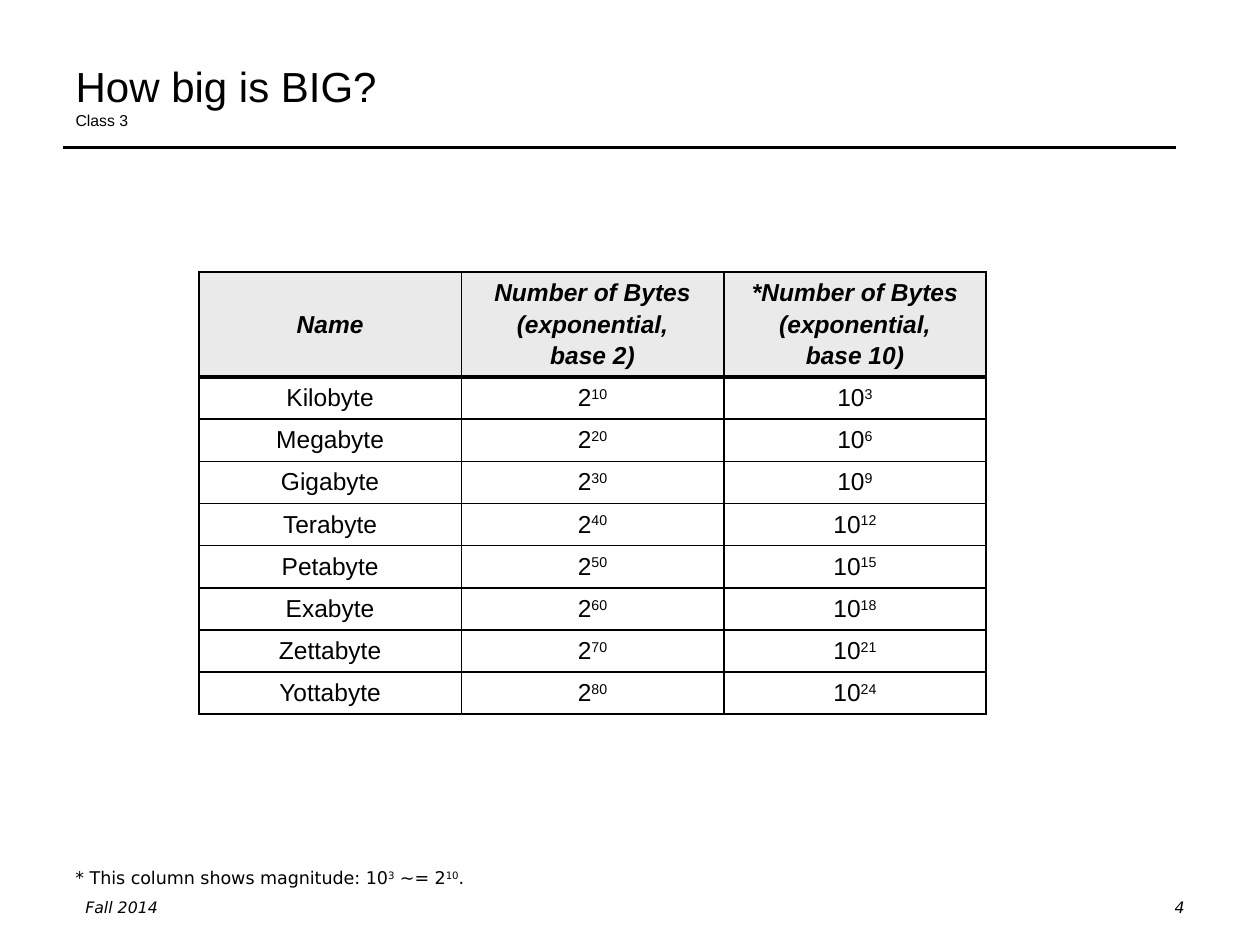
import pptx
import pptx.dml.color
import pptx.enum.shapes
import pptx.enum.text
import pptx.oxml
import pptx.oxml.ns
import pptx.util
from pptx.util import Cm

Align = pptx.enum.text.PP_ALIGN
Anchor = pptx.enum.text.MSO_ANCHOR

# Text between carets is superscript.
TITLE = "How big is BIG? "
SUBTITLE = "Class 3"
HEADERS = [
    ["Name"],
    ["Number of Bytes", "(exponential,", "base 2)"],
    ["*Number of Bytes", "(exponential,", "base 10)"],
]
UNITS = ["Kilobyte", "Megabyte", "Gigabyte", "Terabyte",
         "Petabyte", "Exabyte", "Zettabyte", "Yottabyte"]
FOOTNOTE = "* This column shows magnitude: 10^3^ ~= 2^10^."
TERM = "Fall 2014"
PAGE_NUMBER = "4"

COLORS = {"ink": "000000", "header": "EAEAEA"}
HEADING_FONT = "Arial"
NOTE_FONT = "DejaVu Sans"

COLUMN_WIDTH = Cm(5.29)
HEADER_HEIGHT = Cm(2.11)
ROW_HEIGHT = Cm(0.85)
THIN, OUTER, HEADER_RULE = 1, 1.5, 2.25


def rgb(name):
    return pptx.dml.color.RGBColor.from_string(COLORS[name])


def write(paragraph, text, size=14, font=HEADING_FONT, bold=False, italic=False,
          align=Align.LEFT):
    """Add text to a paragraph, raising the parts between carets."""
    paragraph.alignment = align
    for index, part in enumerate(text.split("^")):
        if not part:
            continue
        run = paragraph.add_run()
        run.text = part
        run.font.size = pptx.util.Pt(size)
        run.font.name = font
        run.font.bold = bold
        run.font.italic = italic
        run.font.color.rgb = rgb("ink")
        if index % 2:
            run._r.get_or_add_rPr().set("baseline", "30000")


def add_note(slide, text, left, top, width, height, **text_format):
    frame = slide.shapes.add_textbox(left, top, width, height).text_frame
    frame.word_wrap = True
    write(frame.paragraphs[0], text, font=NOTE_FONT, **text_format)


def set_borders(cell, **widths):
    """Draw cell borders; the keywords L, R, T and B give widths in points."""
    properties = cell._tc.get_or_add_tcPr()
    for side, width in widths.items():
        properties.append(pptx.oxml.parse_xml(
            f'<a:ln{side} {pptx.oxml.ns.nsdecls("a")} w="{pptx.util.Pt(width)}">'
            f'<a:solidFill><a:srgbClr val="{COLORS["ink"]}"/></a:solidFill>'
            f'</a:ln{side}>'))


def add_title(slide):
    title = slide.shapes.title
    title.left, title.top, title.width, title.height = Cm(1.27), Cm(0.76), Cm(22.86), Cm(1.98)
    frame = title.text_frame
    frame.auto_size = pptx.enum.text.MSO_AUTO_SIZE.NONE
    frame.vertical_anchor = Anchor.BOTTOM
    paragraph = frame.paragraphs[0]
    write(paragraph, TITLE, size=24)
    paragraph.add_line_break()
    write(paragraph, SUBTITLE, size=9)


def add_title_rule(slide):
    rule = slide.shapes.add_connector(
        pptx.enum.shapes.MSO_CONNECTOR.STRAIGHT, Cm(1.27), Cm(2.97), Cm(23.7), Cm(2.97))
    rule.line.color.rgb = rgb("ink")
    rule.line.width = pptx.util.Pt(1.5)
    rule._element.spPr.append(
        pptx.oxml.parse_xml(f'<a:effectLst {pptx.oxml.ns.nsdecls("a")}/>'))


def add_size_table(slide):
    rows = [HEADERS] + [
        [[unit], [f"2^{10 * power}^"], [f"10^{3 * power}^"]]
        for power, unit in enumerate(UNITS, start=1)
    ]
    last_row, last_column = len(rows) - 1, len(HEADERS) - 1
    table = slide.shapes.add_table(
        len(rows), len(HEADERS), Cm(4.01), Cm(5.49),
        COLUMN_WIDTH * len(HEADERS), HEADER_HEIGHT + ROW_HEIGHT * last_row).table
    table.first_row = table.horz_banding = False
    for column in table.columns:
        column.width = COLUMN_WIDTH

    for row_index, row in enumerate(rows):
        is_header = row_index == 0
        table.rows[row_index].height = HEADER_HEIGHT if is_header else ROW_HEIGHT
        for column_index, lines in enumerate(row):
            cell = table.cell(row_index, column_index)
            cell.vertical_anchor = Anchor.MIDDLE
            set_borders(
                cell,
                L=OUTER if column_index == 0 else THIN,
                R=OUTER if column_index == last_column else THIN,
                T={0: OUTER, 1: HEADER_RULE}.get(row_index, THIN),
                B={0: HEADER_RULE, last_row: OUTER}.get(row_index, THIN))
            if is_header:
                cell.fill.solid()
                cell.fill.fore_color.rgb = rgb("header")
            else:
                cell.fill.background()
            frame = cell.text_frame
            for line_index, line in enumerate(lines):
                if line_index == 0:
                    paragraph = frame.paragraphs[0]
                else:
                    paragraph = frame.add_paragraph()
                    paragraph.space_before = pptx.util.Pt(2.3)
                write(paragraph, line, bold=is_header, italic=is_header, align=Align.CENTER)


def main():
    presentation = pptx.Presentation()
    presentation.slide_width, presentation.slide_height = Cm(25.4), Cm(19.05)
    title_only = presentation.slide_layouts[5]
    slide = presentation.slides.add_slide(title_only)

    add_title_rule(slide)
    add_title(slide)
    add_size_table(slide)
    add_note(slide, FOOTNOTE, Cm(1.27), Cm(17.35), Cm(22.86), Cm(0.69), size=10)
    add_note(slide, TERM, Cm(1.47), Cm(17.98), Cm(5.72), Cm(0.64), size=9, italic=True)
    add_note(slide, PAGE_NUMBER, Cm(18.21), Cm(17.98), Cm(5.92), Cm(0.64),
             size=9, italic=True, align=Align.RIGHT)
    presentation.save("out.pptx")


if __name__ == "__main__":
    main()
